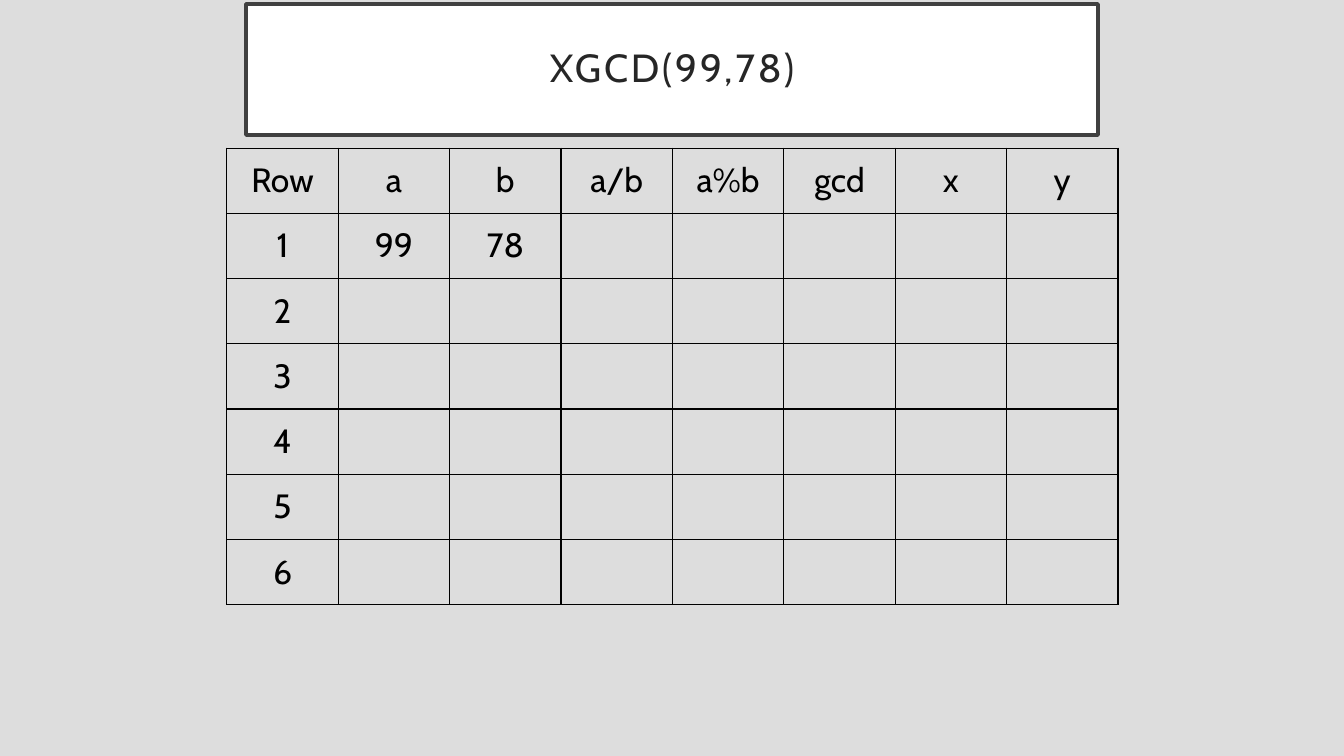
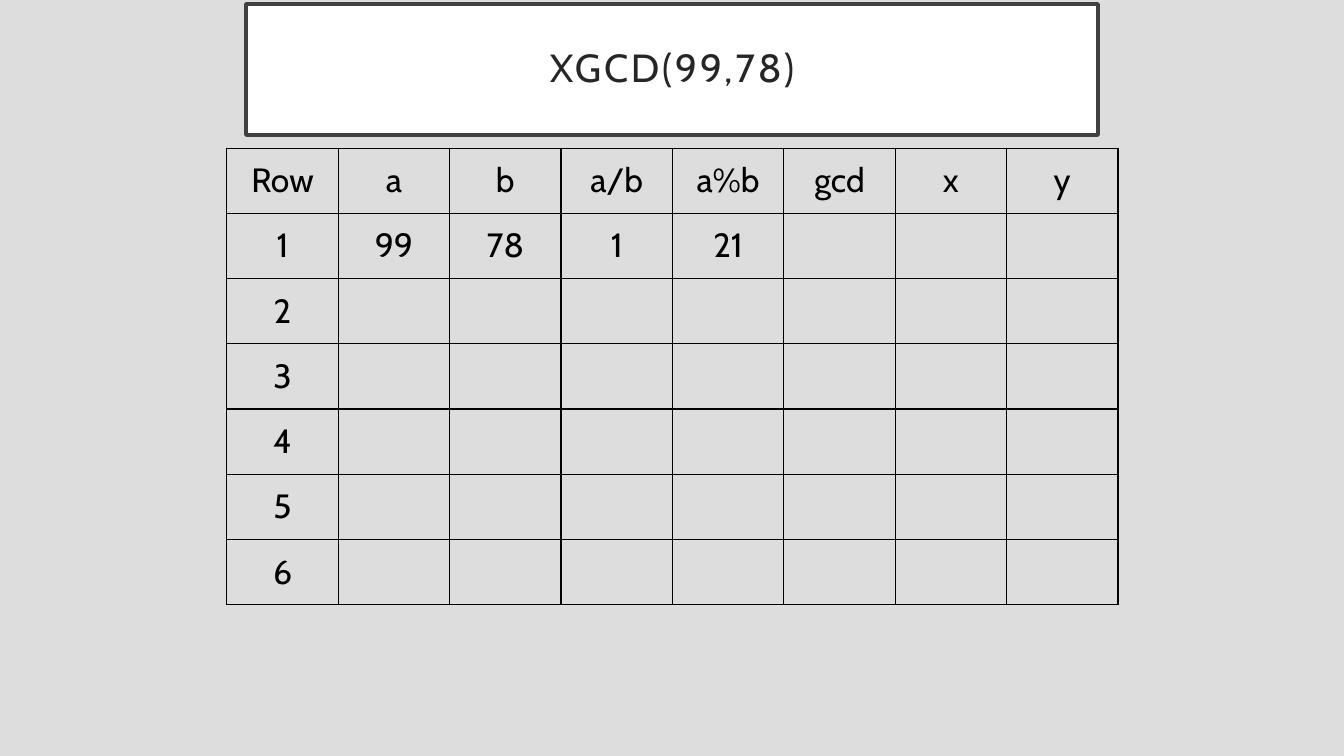
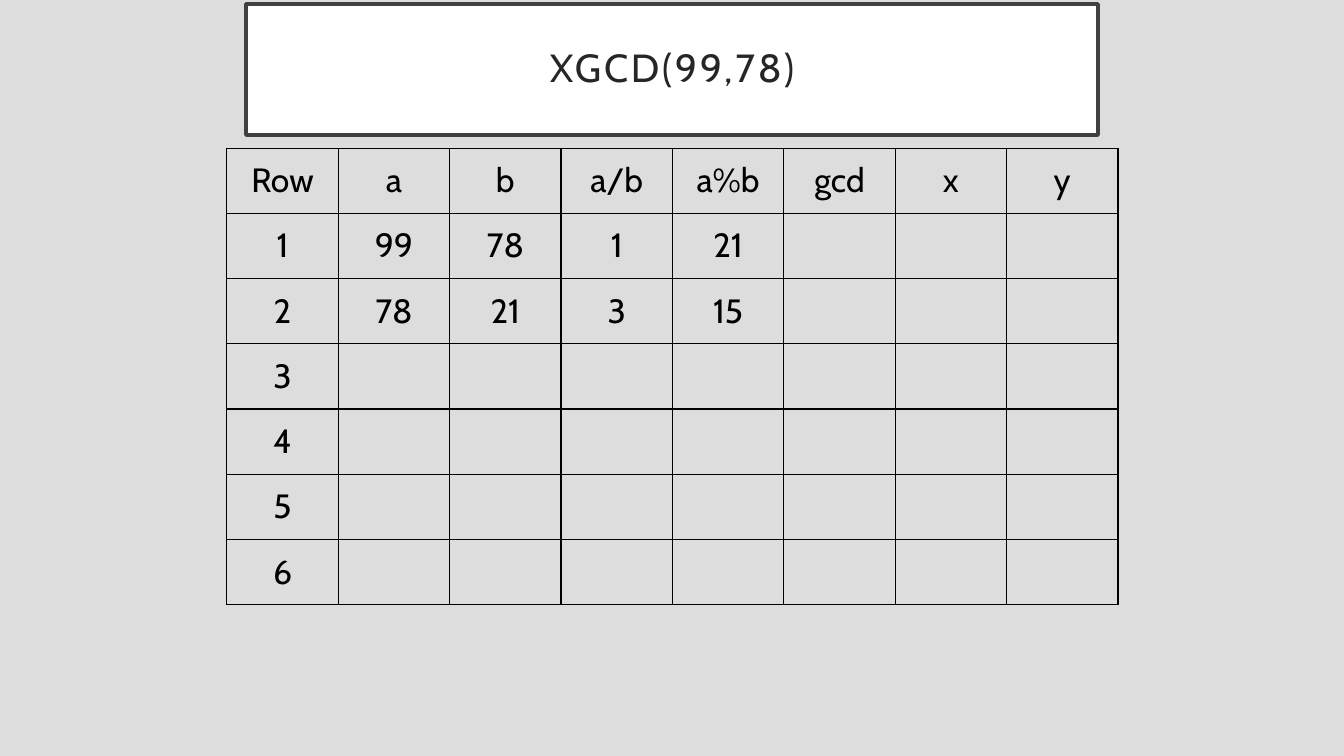
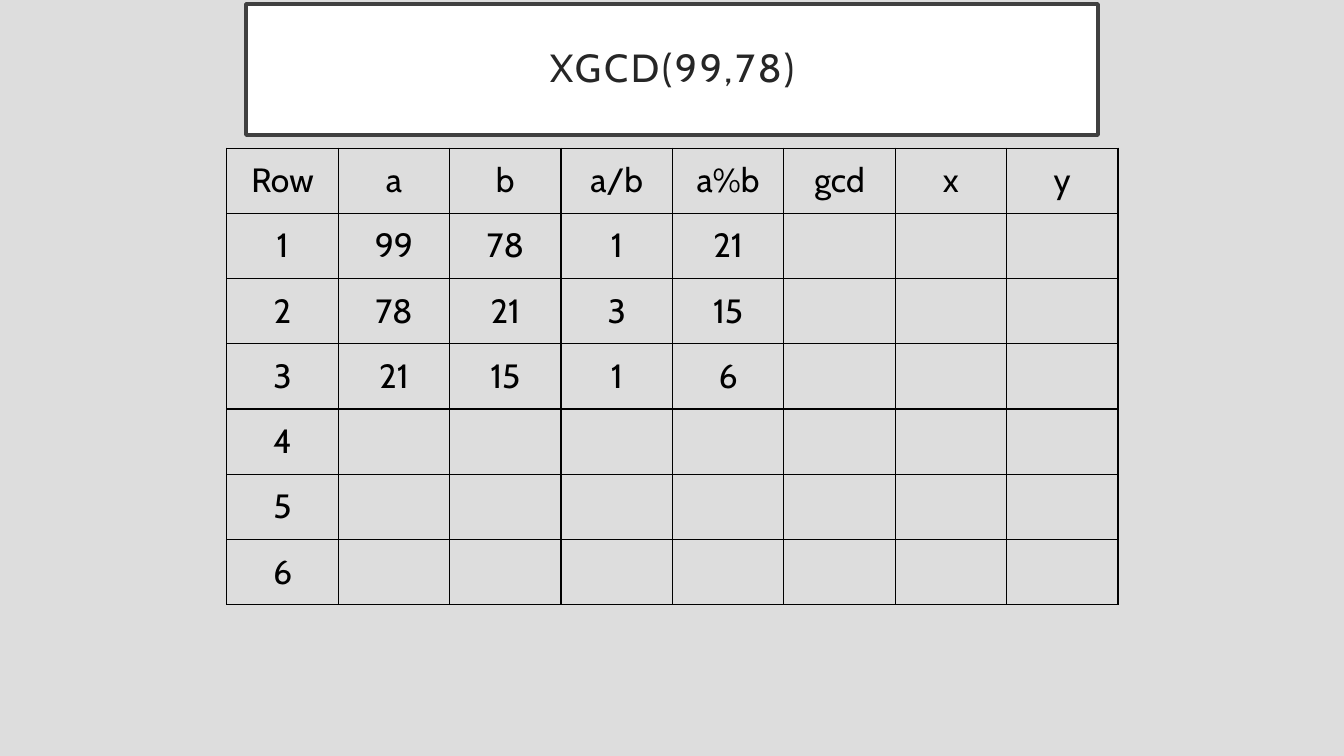
from pptx import Presentation
from pptx import util as u
from pptx.dml.color import RGBColor
from pptx.enum import shapes, text
from pptx.oxml import parse_xml
from pptx.oxml.ns import nsdecls

FONT = "Cabin"
BACKGROUND = "DDDDDD"
WHITE = "FFFFFF"
FRAME = "404040"
TITLE_INK = "262626"
BLACK = "000000"

TITLE = "XGCD(99,78)"
HEADERS = ["Row", "a", "b", "a/b", "a%b", "gcd", "x", "y"]
ROW_COUNT = 6
STEPS = [[99, 78, 1, 21], [78, 21, 3, 15], [21, 15, 1, 6]]
STAGES = [[STEPS[0][:2]], STEPS[:1], STEPS[:2], STEPS]


def color(value):
    return RGBColor.from_string(value)


def write(frame, content, *, size, ink, line_spacing=None, tracking=None):
    para = frame.paragraphs[0]
    para.alignment = text.PP_ALIGN.CENTER
    if line_spacing:
        para.line_spacing = line_spacing
    span = para.add_run()
    span.text = content
    span.font.name = FONT
    span.font.size = u.Pt(size)
    span.font.color.rgb = color(ink)
    if tracking:
        span._r.get_or_add_rPr().set("spc", str(tracking * 100))


def add_title(page, content):
    box = page.shapes.add_shape(
        shapes.MSO_SHAPE.RECTANGLE,
        u.Inches(2.44), u.Inches(0.04), u.Inches(8.45), u.Inches(1.3))
    box.shadow.inherit = False
    box.fill.solid()
    box.fill.fore_color.rgb = color(WHITE)
    box.line.color.rgb = color(FRAME)
    box.line.width = u.Pt(2.5)
    frame = box.text_frame
    frame.word_wrap = True
    frame.vertical_anchor = text.MSO_ANCHOR.MIDDLE
    frame.margin_left = frame.margin_right = u.Inches(0.2)
    frame.margin_top = frame.margin_bottom = u.Inches(0.2)
    write(frame, content, size=28, ink=TITLE_INK, line_spacing=0.9, tracking=2)


def outline(cell):
    properties = cell._tc.get_or_add_tcPr()
    for side in "LRTB":
        properties.append(parse_xml(
            f'<a:ln{side} {nsdecls("a")} w="{u.Pt(1)}"><a:solidFill>'
            f'<a:srgbClr val="{BLACK}"/></a:solidFill></a:ln{side}>'))


def add_grid(page, steps):
    table = page.shapes.add_table(
        ROW_COUNT + 1, len(HEADERS),
        u.Inches(2.25), u.Inches(1.47), u.Inches(8.84), u.Inches(4.53)).table
    table.first_row = False
    table.horz_banding = False
    values = [HEADERS] + [[number] for number in range(1, ROW_COUNT + 1)]
    for row, step in zip(values[1:], steps):
        row.extend(step)
    for cell in table.iter_cells():
        outline(cell)
        cell.fill.background()
        cell.vertical_anchor = text.MSO_ANCHOR.MIDDLE
    for row_index, row in enumerate(values):
        for column_index, value in enumerate(row):
            frame = table.cell(row_index, column_index).text_frame
            write(frame, str(value), size=24, ink=BLACK)


def main():
    deck = Presentation()
    deck.slide_width = u.Inches(13.33)
    deck.slide_height = u.Inches(7.5)
    backdrop = deck.slide_master.background.fill
    backdrop.solid()
    backdrop.fore_color.rgb = color(BACKGROUND)
    for steps in STAGES:
        page = deck.slides.add_slide(deck.slide_layouts[6])
        add_grid(page, steps)
        add_title(page, TITLE)
    deck.save("out.pptx")


if __name__ == "__main__":
    main()
